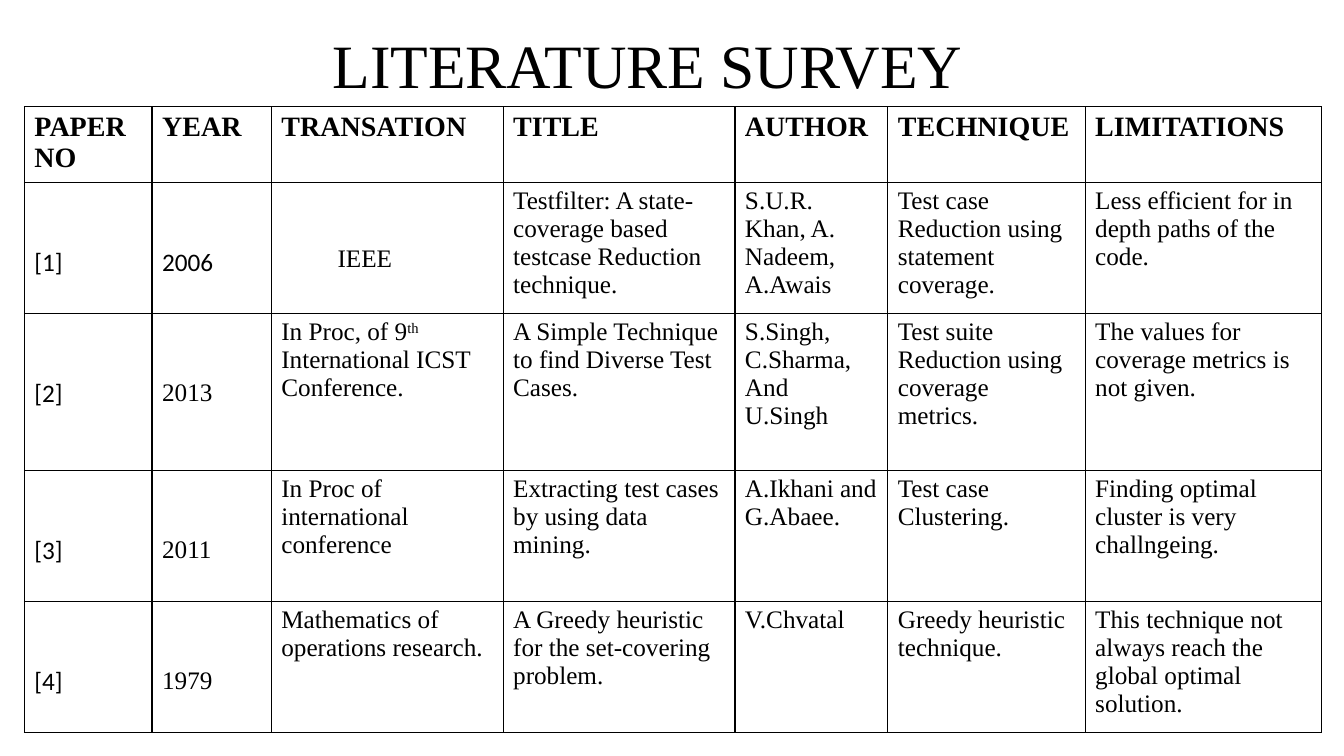
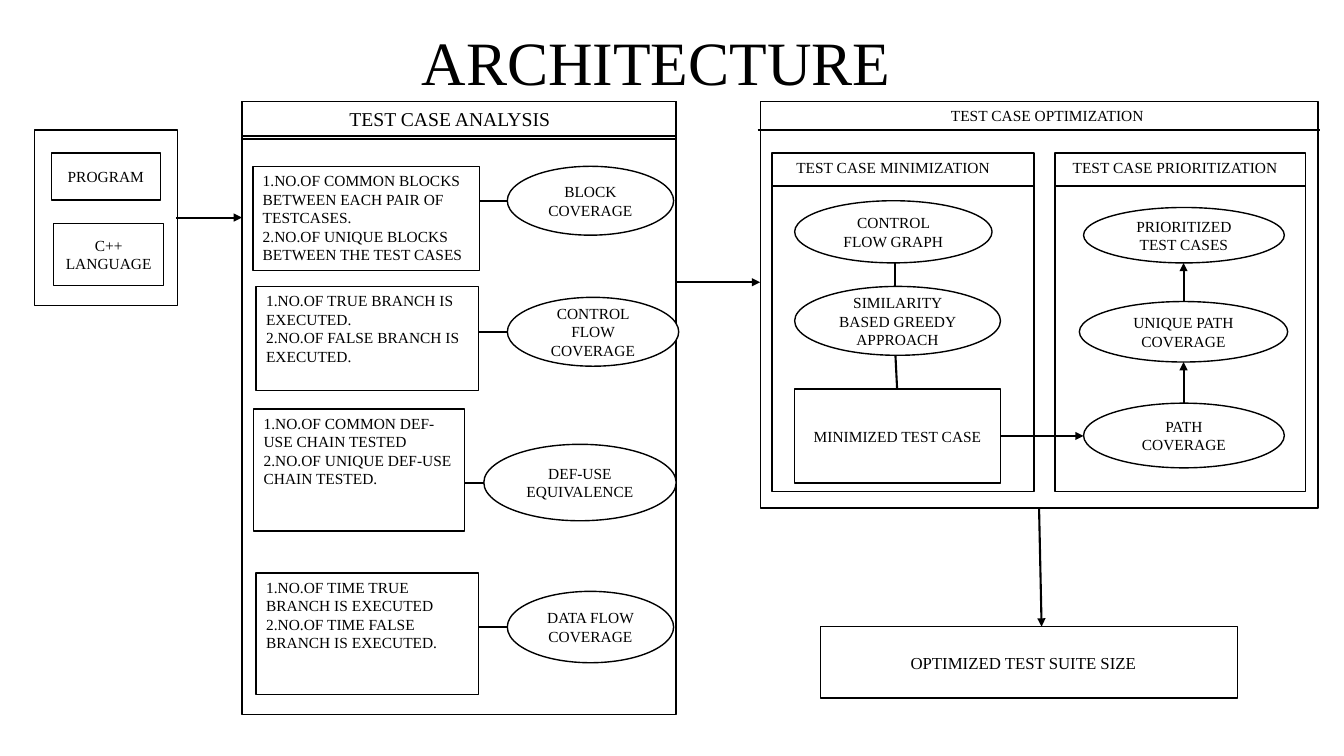
from lxml import etree
from pptx import Presentation, util as u
from pptx.dml.color import RGBColor
from pptx.enum import shapes, text
from pptx.oxml import ns

COLORS = {"ink": "000000", "paper": "FFFFFF"}
SERIF, SANS = "Times New Roman", "Calibri"
COLUMNS, ROWS = 160, 90
RECTANGLE = shapes.MSO_SHAPE.RECTANGLE
OVAL = shapes.MSO_SHAPE.OVAL
TOP, MIDDLE = text.MSO_ANCHOR.TOP, text.MSO_ANCHOR.MIDDLE
LEFT, CENTER = text.PP_ALIGN.LEFT, text.PP_ALIGN.CENTER


def color(name):
    return RGBColor.from_string(COLORS[name])


def add_xml(parent, tag, **attributes):
    return etree.SubElement(parent, ns.qn(tag), attributes)


class Deck:
    """Holds the style and the current slide; lengths are grid columns and rows."""

    def __init__(self):
        self.presentation = Presentation()
        self.presentation.slide_width = u.Inches(13.33)
        self.presentation.slide_height = u.Inches(7.5)
        self.slide = None

    def x(self, columns):
        return round(self.presentation.slide_width * columns / COLUMNS)

    def y(self, rows):
        return round(self.presentation.slide_height * rows / ROWS)

    def place(self, left, top, width, height):
        return self.x(left), self.y(top), self.x(width), self.y(height)

    def set_text(self, frame, words, size, align=LEFT, font=SERIF, bold=False):
        """One paragraph a line; words between carets are superscript."""
        frame.word_wrap = True
        for number, line in enumerate(words.split("\n")):
            paragraph = frame.add_paragraph() if number else frame.paragraphs[0]
            paragraph.alignment = align
            paragraph.font.size = u.Pt(size)
            paragraph.font.name = font
            paragraph.font.bold = bold
            paragraph.font.color.rgb = color("ink")
            for part, piece in enumerate(line.split("^")):
                run = paragraph.add_run()
                run.text = piece
                if part % 2:
                    run.font._element.set("baseline", "30000")

    def new_slide(self, title, top, height, indent):
        layout = self.presentation.slide_layouts[5]
        self.slide = self.presentation.slides.add_slide(layout)
        shape = self.slide.shapes.title
        shape.left, shape.top, shape.width, shape.height = self.place(11, top, 138, height)
        frame = shape.text_frame
        frame.margin_left = self.x(indent)
        frame.vertical_anchor = MIDDLE
        self.set_text(frame, title, 44)
        frame.paragraphs[0].line_spacing = 0.9

    def box(self, place, words="", kind=RECTANGLE, size=11, align=CENTER,
            anchor=MIDDLE, indent=None):
        shape = self.slide.shapes.add_shape(kind, *self.place(*place))
        shape.shadow.inherit = False
        shape.fill.solid()
        shape.fill.fore_color.rgb = color("paper")
        shape.line.color.rgb = color("ink")
        shape.line.width = u.Pt(1)
        if words:
            frame = shape.text_frame
            frame.vertical_anchor = anchor
            if indent is not None:
                frame.margin_left = self.x(indent)
            self.set_text(frame, words, size, align)

    def label(self, place, words, indent):
        frame = self.slide.shapes.add_textbox(*self.place(*place)).text_frame
        frame.margin_left = self.x(indent)
        self.set_text(frame, words, 11)

    def line(self, x1, y1, x2, y2, arrow=False):
        connector = self.slide.shapes.add_connector(
            shapes.MSO_CONNECTOR.STRAIGHT, self.x(x1), self.y(y1), self.x(x2), self.y(y2))
        connector.line.color.rgb = color("ink")
        connector.line.width = u.Pt(1.5)
        if arrow:
            add_xml(connector.line._get_or_add_ln(), "a:tailEnd", type="triangle")
        add_xml(connector._element.spPr, "a:effectLst")

    def cell(self, cell, words, size=18, font=SERIF, bold=False, drop=None, indent=None):
        if drop is not None:
            cell.margin_top = self.y(drop)
        if indent is not None:
            cell.margin_left = self.x(indent)
        self.set_text(cell.text_frame, words, size, font=font, bold=bold)
        properties = cell._tc.get_or_add_tcPr()
        for side in ("a:lnL", "a:lnR", "a:lnT", "a:lnB"):
            border = add_xml(properties, side, w=str(u.Pt(1)))
            add_xml(add_xml(border, "a:solidFill"), "a:srgbClr", val=COLORS["ink"])
        cell.fill.solid()
        cell.fill.fore_color.rgb = color("paper")

    def table(self, left, top, widths, heights):
        place = self.place(left, top, sum(widths), sum(heights))
        table = self.slide.shapes.add_table(len(heights), len(widths), *place).table
        table.first_row = table.horz_banding = False
        for column, width in zip(table.columns, widths):
            column.width = self.x(width)
        for row, height in zip(table.rows, heights):
            row.height = self.y(height)
        return table


deck = Deck()

# Slide 1: survey table
HEADINGS = ["PAPER NO", "YEAR", "TRANSATION", "TITLE", "AUTHOR", "TECHNIQUE", "LIMITATIONS"]
PAPERS = [
    ["[1]", "2006", "IEEE",
     "Testfilter: A state-coverage based testcase Reduction technique.",
     "S.U.R. Khan, A. Nadeem, A.Awais",
     "Test case Reduction using statement coverage.",
     "Less efficient for in depth paths of the code."],
    ["[2]", "2013", "In Proc, of 9^th^ International ICST Conference.",
     "A Simple Technique to find Diverse Test Cases.",
     "S.Singh, C.Sharma,\nAnd U.Singh",
     "Test suite Reduction using coverage metrics.",
     "The values for coverage metrics is not given."],
    ["[3]", "2011", "In Proc of international conference",
     "Extracting test cases by using data mining.",
     "A.Ikhani and G.Abaee.",
     "Test case Clustering.",
     "Finding optimal cluster is very challngeing."],
    ["[4]", "1979", "Mathematics of operations research.",
     "A Greedy heuristic for the set-covering problem.",
     "V.Chvatal",
     "Greedy heuristic technique.",
     "This technique not always reach the global optimal solution."],
]
deck.new_slide("LITERATURE SURVEY", 1.6, 13.1, 28.6)
survey = deck.table(2.9, 12.7, [15.2, 14.2, 27.6, 27.6, 18.2, 23.5, 28.1],
                    [9, 15.6, 18.7, 15.6, 15.6])
for column, heading in enumerate(HEADINGS):
    deck.cell(survey.cell(0, column), heading, size=20, bold=True)
for row, paper in enumerate(PAPERS, 1):
    for column, words in enumerate(paper):
        style = {}
        if column < 2:
            style["drop"] = 7.8
        if column == 0 or words == "2006":
            style["font"] = SANS
        if words == "IEEE":
            style.update(drop=7.5, indent=7.9)
        deck.cell(survey.cell(row, column), words, **style)

# Slide 2: architecture diagram
deck.new_slide("ARCHITECTURE", 0, 15.5, 39.2)

# Program input
deck.box((4.1, 15.5, 17, 20.9))
deck.box((6.1, 18.2, 13, 5.6), "PROGRAM")
deck.box((6.4, 26.6, 13.1, 7.4), "C++ LANGUAGE")

# Test case analysis: measures linked to their coverage
deck.box((28.8, 12.1, 51.7, 73))
deck.box((28.8, 12.1, 51.7, 4.1), "TEST CASE ANALYSIS", size=14, align=LEFT,
         anchor=TOP, indent=12.8)
deck.line(28.8, 16.6, 80.5, 16.6)
MEASURES = [
    ((30.1, 19.8, 27, 12.4),
     "1.NO.OF COMMON BLOCKS BETWEEN EACH PAIR OF TESTCASES.\n"
     "2.NO.OF UNIQUE BLOCKS BETWEEN THE TEST CASES",
     (60.4, 19.8, 19.8, 8.2), "BLOCK COVERAGE"),
    ((30.5, 34.1, 26.5, 12.4),
     "1.NO.OF TRUE BRANCH IS EXECUTED.\n2.NO.OF FALSE BRANCH IS EXECUTED.",
     (60.4, 35.4, 20.4, 8.2), "CONTROL FLOW COVERAGE"),
    ((30.2, 48.7, 25.1, 14.5),
     "1.NO.OF COMMON DEF-USE CHAIN TESTED\n2.NO.OF UNIQUE DEF-USE CHAIN TESTED.",
     (57.6, 52.9, 22.9, 9.1), "DEF-USE EQUIVALENCE"),
    ((30.5, 68.2, 26.5, 14.5),
     "1.NO.OF TIME TRUE BRANCH IS EXECUTED\n2.NO.OF TIME FALSE BRANCH IS EXECUTED.",
     (60.4, 70.4, 19.8, 8.5), "DATA FLOW COVERAGE"),
]
for measure_place, measure, coverage_place, coverage in MEASURES:
    deck.box(measure_place, measure, align=LEFT, anchor=TOP)
    deck.box(coverage_place, coverage, kind=OVAL)
    link = coverage_place[1] + coverage_place[3] / 2
    deck.line(measure_place[0] + measure_place[2], link, coverage_place[0], link)

# Test case optimization with its two panels
deck.box((90.5, 12.1, 66.4, 48.4))
deck.line(90.2, 15.5, 157.1, 15.5)
deck.label((90.5, 12.1, 66.4, 3.5), "TEST CASE OPTIMIZATION", 22.7)
for left, width, heading, indent in [(91.9, 31.2, "TEST CASE MINIMIZATION", 2.9),
                                     (125.6, 29.8, "TEST CASE PRIORITIZATION", 2.1)]:
    deck.box((left, 18.2, width, 40.3))
    deck.line(left, 22.1, left + width, 22.1)
    deck.label((left, 18.2, width, 3.5), heading, indent)
for place, words in [
    ((94.6, 23.9, 23.5, 7.4), "CONTROL FLOW GRAPH"),
    ((94.6, 34.1, 24.5, 8.2), "SIMILARITY BASED GREEDY APPROACH"),
    ((129, 24.7, 23.9, 6.6), "PRIORITIZED TEST CASES"),
    ((128.5, 35.9, 24.8, 7.2), "UNIQUE PATH COVERAGE"),
    ((129, 48, 23.9, 7.7), "PATH COVERAGE"),
]:
    deck.box(place, words, kind=OVAL)
deck.box((94.6, 46.3, 24.5, 11.2), "MINIMIZED TEST CASE")

# Result
deck.box((97.7, 74.6, 49.6, 8.5), "OPTIMIZED TEST SUITE SIZE", size=12, align=LEFT,
         indent=10.7)

# Flow between the parts
deck.line(106.6, 31.3, 106.6, 34.1)
deck.line(106.6, 42.3, 106.8, 46.3)
for ends in [
    (119.1, 51.9, 129, 51.9),
    (140.9, 48, 140.9, 43.1),
    (140.9, 35.9, 140.9, 31.3),
    (123.7, 60.5, 124, 74.6),
    (21, 25.9, 28.8, 25.9),
    (80.5, 33.6, 90.5, 33.6),
]:
    deck.line(*ends, arrow=True)

deck.presentation.save("out.pptx")
